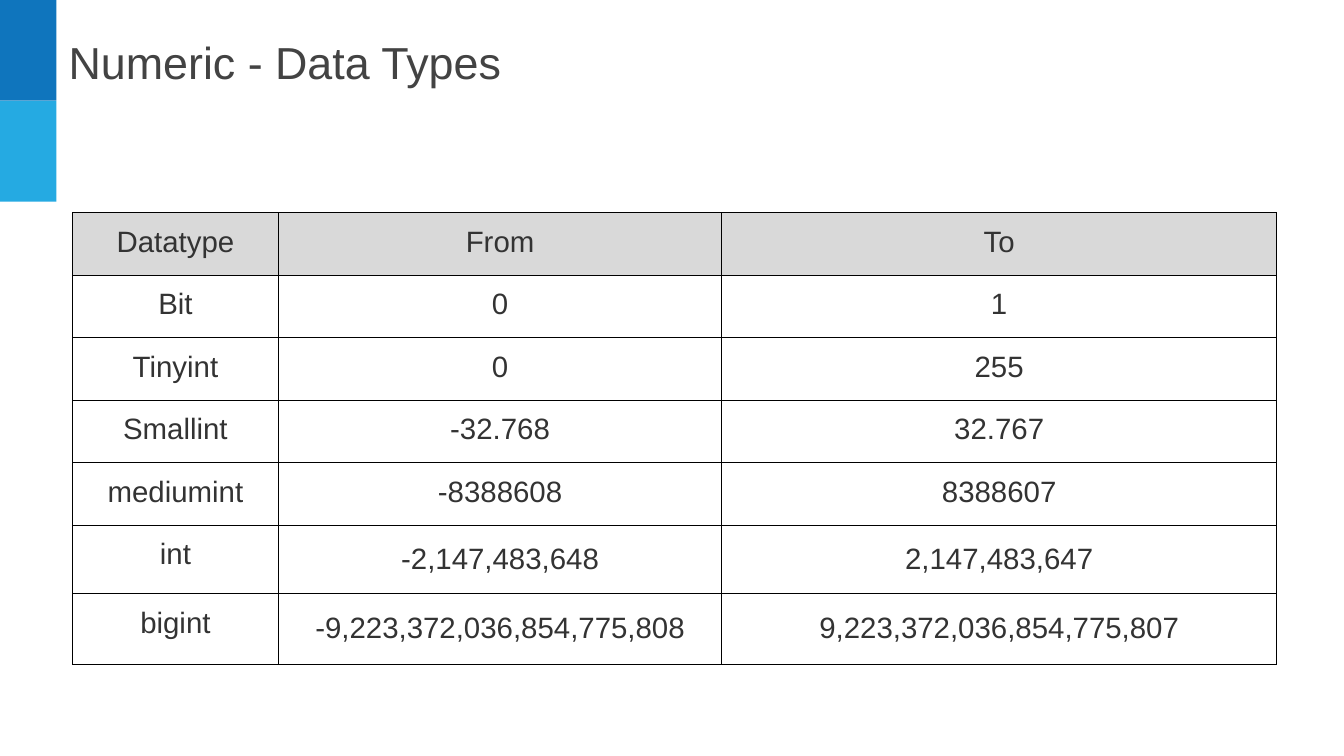
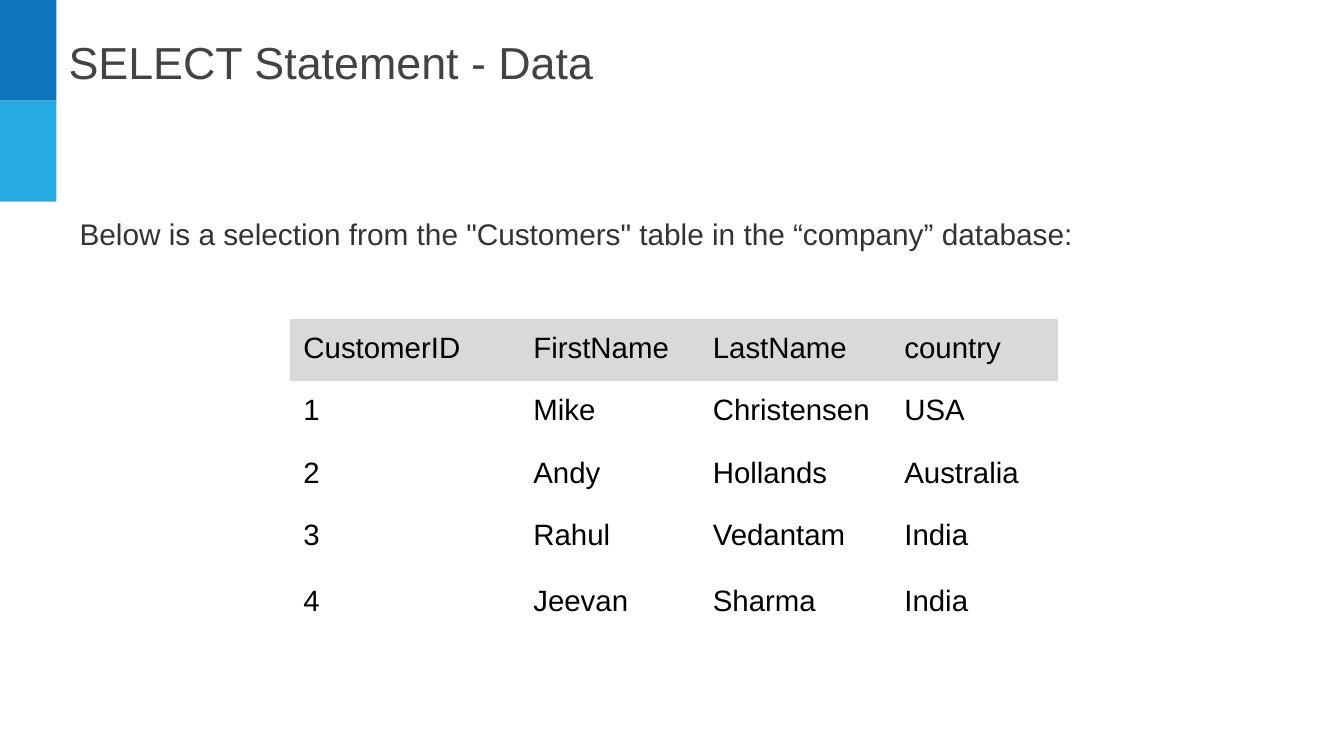
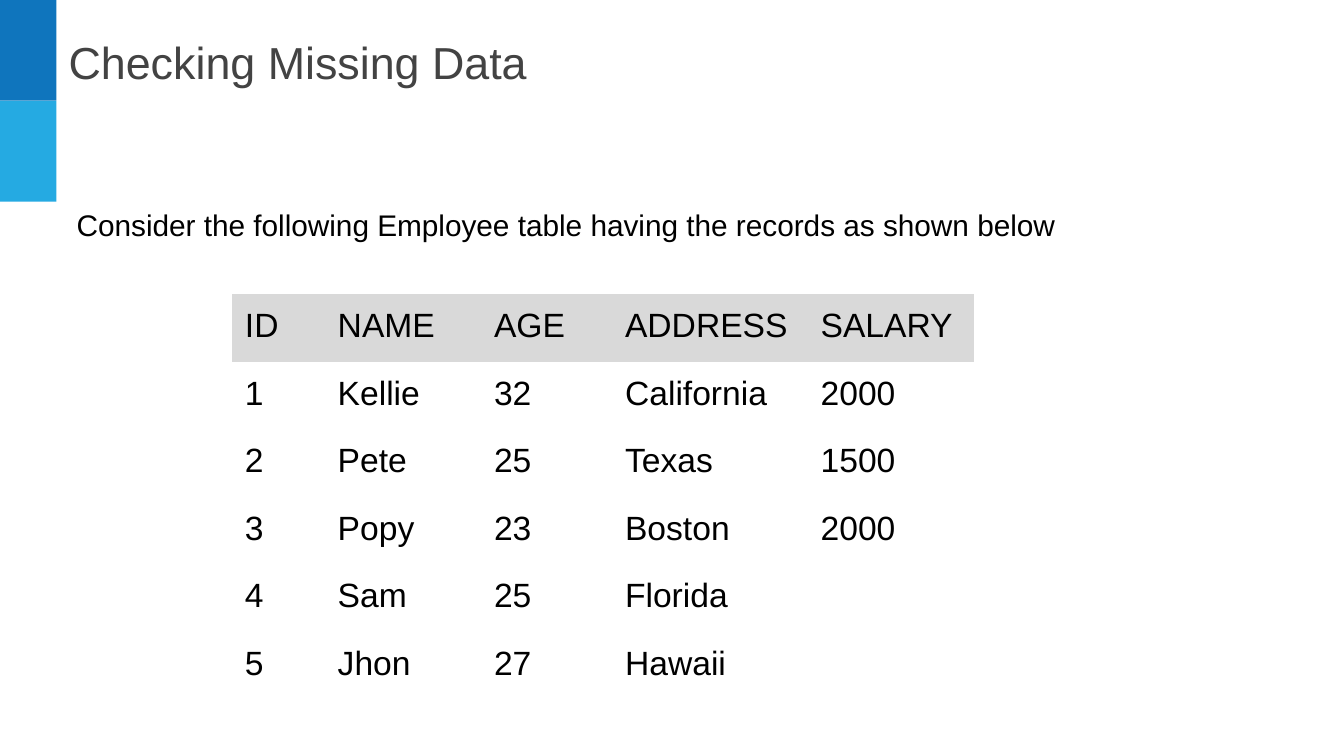
from lxml.etree import SubElement
from pptx import Presentation
from pptx.dml.color import RGBColor
from pptx.enum.shapes import MSO_SHAPE as Shape
from pptx.enum.text import MSO_ANCHOR as Anchor, MSO_AUTO_SIZE as AutoSize, PP_ALIGN as Align
from pptx.oxml.ns import qn
from pptx.util import Inches, Pt

FONT = "Arial"
BLACK, BODY_GREY, TITLE_GREY = "000000", "333333", "434343"
HEADER_FILL, WHITE = "D9D9D9", "FFFFFF"
BANDS = ["0F75BD", "25AAE2"]
BAND_WIDTH, BAND_HEIGHT = Inches(0.56), Inches(1)
NO_STYLE_NO_GRID = "{2D5ABB26-0587-4C30-8999-92F81FD0307C}"
MARGIN = Inches(0.13)
CELL_MARGINS = {f"margin_{side}": MARGIN for side in ("left", "right", "top", "bottom")}
FRAME_FORMAT = {**CELL_MARGINS, "word_wrap": True, "auto_size": AutoSize.NONE,
                "vertical_anchor": Anchor.TOP}

color = RGBColor.from_string


def write(frame, text, size, ink, align=Align.LEFT):
    frame.text = text
    paragraph = frame.paragraphs[0]
    paragraph.alignment = align
    for run in paragraph.runs:
        run.font.name, run.font.size = FONT, Pt(size)
        run.font.color.rgb = color(ink)
    return paragraph


def add_grid(slide, left, top, widths, heights, records, size=21, ink=BLACK,
             align=Align.LEFT, header=True, ruled=False):
    """Draw records as a table; ruled adds black cell borders and white bodies."""
    table = slide.shapes.add_table(
        len(records), len(widths), Inches(left), Inches(top),
        Inches(sum(widths)), Inches(sum(heights))).table
    table.first_row = table.horz_banding = False
    table._tbl.tblPr.find(qn("a:tableStyleId")).text = NO_STYLE_NO_GRID
    for column, width in zip(table.columns, widths):
        column.width = Inches(width)
    for row, height in zip(table.rows, heights):
        row.height = Inches(height)
    for r, record in enumerate(records):
        for c, value in enumerate(record):
            cell = table.cell(r, c)
            for key, setting in CELL_MARGINS.items():
                setattr(cell, key, setting)
            paragraph = write(cell.text_frame, value, size, ink, align)
            if "," in value:
                paragraph.line_spacing = 1.15
            if ruled:
                for edge in ("a:lnL", "a:lnR", "a:lnT", "a:lnB"):
                    line = SubElement(cell._tc.get_or_add_tcPr(), qn(edge), w=str(Pt(0.75)))
                    SubElement(SubElement(line, qn("a:solidFill")), qn("a:srgbClr"), val=BLACK)
            if header and r == 0:
                cell.fill.solid()
                cell.fill.fore_color.rgb = color(HEADER_FILL)
            elif ruled:
                cell.fill.solid()
                cell.fill.fore_color.rgb = color(WHITE)
            else:
                cell.fill.background()


deck = Presentation()
deck.slide_width, deck.slide_height = Inches(13.33), Inches(7.5)

# Title and side bands shared by all slides
slides = []
for heading in ("Numeric - Data Types", "SELECT Statement - Data", "Checking Missing Data"):
    slide = deck.slides.add_slide(deck.slide_layouts[5])
    title = slide.shapes.title
    title.left, title.top, title.width, title.height = map(Inches, (0.55, 0.21, 10.86, 0.77))
    for key, setting in FRAME_FORMAT.items():
        setattr(title.text_frame, key, setting)
    write(title.text_frame, heading, 32, TITLE_GREY)
    for position, band_fill in enumerate(BANDS):
        band = slide.shapes.add_shape(
            Shape.RECTANGLE, 0, position * BAND_HEIGHT, BAND_WIDTH, BAND_HEIGHT)
        band.shadow.inherit = False
        band.fill.solid()
        band.fill.fore_color.rgb = color(band_fill)
        band.line.fill.background()
    slides.append(slide)
numeric_slide, select_slide, missing_slide = slides

# Introductory sentences
for slide, bounds, sentence, ink, align in (
    (select_slide, (0.66, 2.01, 11.41, 0.65),
     'Below is a selection from the "Customers" table in the “company” database:',
     BODY_GREY, Align.LEFT),
    (missing_slide, (0.63, 1.92, 11.15, 0.6),
     "Consider the following Employee table having the records as shown below",
     BLACK, Align.JUSTIFY),
):
    intro = slide.shapes.add_textbox(*map(Inches, bounds)).text_frame
    for key, setting in FRAME_FORMAT.items():
        setattr(intro, key, setting)
    write(intro, sentence, 21.3, ink, align)

# Numeric ranges
numeric_ranges = [
    ("Datatype", "From", "To"),
    ("Bit", "0", "1"),
    ("Tinyint", "0", "255"),
    ("Smallint", "-32.768", "32.767"),
    ("mediumint", "-8388608", "8388607"),
    ("int", "-2,147,483,648", "2,147,483,647"),
    ("bigint", "-9,223,372,036,854,775,808", "9,223,372,036,854,775,807"),
]
add_grid(numeric_slide, 0.72, 2.11, [2.04, 4.4, 5.5], [0.62] * 5 + [0.68, 0.7],
         numeric_ranges, ink=BODY_GREY, align=Align.CENTER, ruled=True)

# Customers, with the last record in a table of its own
customers = [
    ("CustomerID", "FirstName", "LastName", "country"),
    ("1", "Mike", "Christensen", "USA"),
    ("2", "Andy", "Hollands", "Australia"),
    ("3", "Rahul", "Vedantam", "India"),
]
last_customer = [("4", "Jeevan", "Sharma", "India")]
customer_widths = [2.28, 1.78, 1.9, 1.65]
add_grid(select_slide, 2.88, 3.16, customer_widths, [0.62] * 4, customers)
add_grid(select_slide, 2.88, 5.67, customer_widths, [0.62], last_customer, header=False)

# Employees, two of them without a salary
employees = [
    ("ID", "NAME", "AGE", "ADDRESS", "SALARY"),
    ("1", "Kellie", "32", "California", "2000"),
    ("2", "Pete", "25", "Texas", "1500"),
    ("3", "Popy", "23", "Boston", "2000"),
    ("4", "Sam", "25", "Florida", ""),
    ("5", "Jhon", "27", "Hawaii", ""),
]
add_grid(missing_slide, 2.3, 2.92, [0.92, 1.55, 1.3, 1.94, 1.65], [0.67] * 6,
         employees, size=24)

deck.save("out.pptx")
